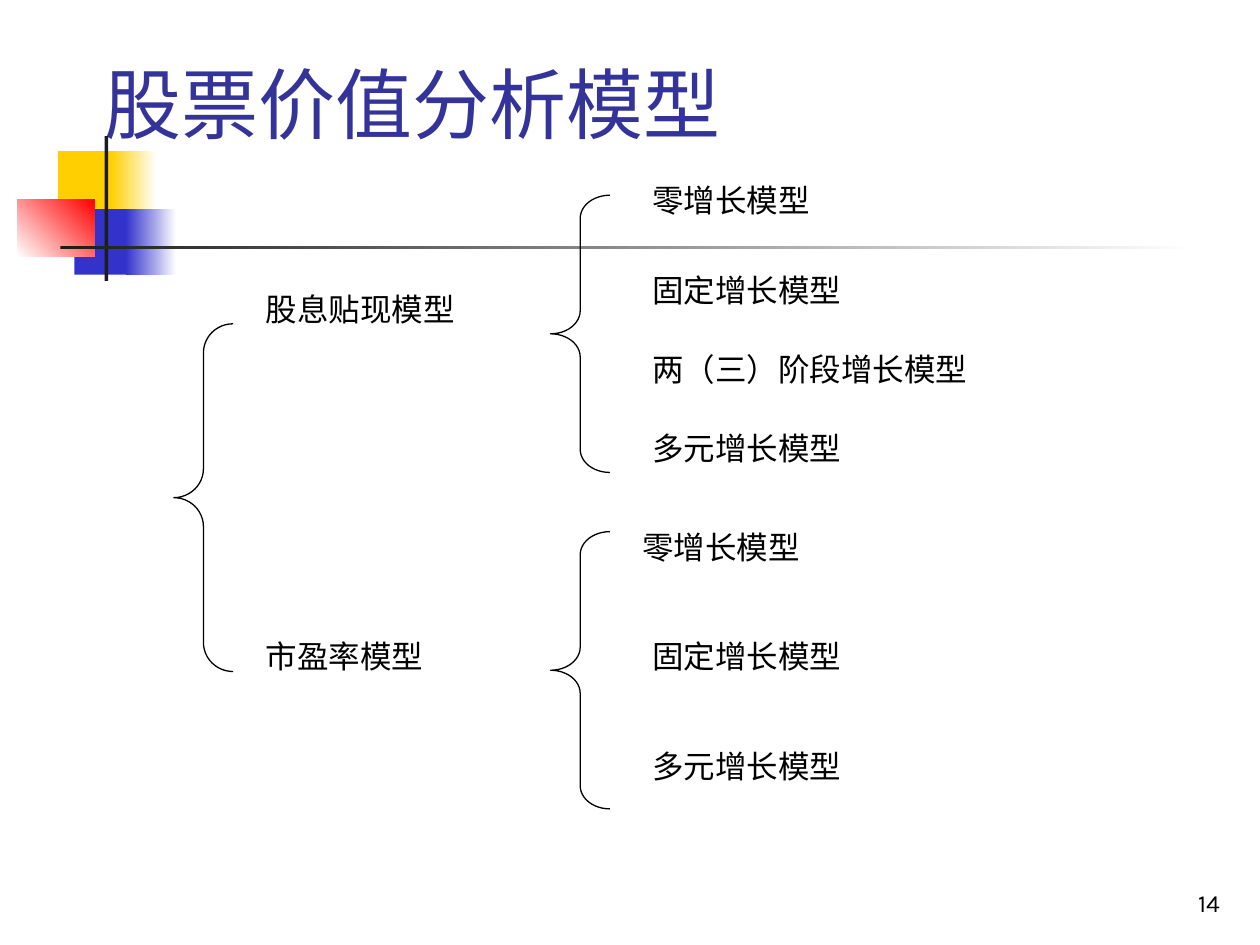
import pptx
import pptx.dml.color
import pptx.enum.shapes
import pptx.enum.text
import pptx.util

Inches = pptx.util.Inches
Pt = pptx.util.Pt
Shape = pptx.enum.shapes.MSO_SHAPE
Align = pptx.enum.text.PP_ALIGN
Anchor = pptx.enum.text.MSO_ANCHOR
AutoSize = pptx.enum.text.MSO_AUTO_SIZE

FONT = "Karla"
BLACK, WHITE, CHARCOAL = "000000", "FFFFFF", "1C1C1C"
YELLOW, BLUE, RED, TITLE_BLUE = "FFCF01", "3333CC", "FF0000", "333399"


def color(value):
    return pptx.dml.color.RGBColor.from_string(value)


class SlideBuilder:
    """Holds the style and the current slide."""

    def __init__(self, slide):
        self.slide = slide

    def set_text(self, shape, text, size, text_color=BLACK, align=Align.LEFT):
        frame = shape.text_frame
        frame.text = text
        paragraph = frame.paragraphs[0]
        paragraph.alignment = align
        font = paragraph.runs[0].font
        font.name = FONT
        font.size = Pt(size)
        font.color.rgb = color(text_color)

    def title(self, text, left, top, width, height):
        title = self.slide.shapes.title
        title.left, title.top = Inches(left), Inches(top)
        title.width, title.height = Inches(width), Inches(height)
        self.set_text(title, text, 44, TITLE_BLUE)
        frame = title.text_frame
        frame.vertical_anchor = Anchor.BOTTOM
        frame.auto_size = AutoSize.NONE
        frame.margin_left = Inches(0.5)

    def shape(self, kind, left, top, width, height):
        shape = self.slide.shapes.add_shape(
            kind, Inches(left), Inches(top), Inches(width), Inches(height))
        shape.shadow.inherit = False
        return shape

    def block(self, box, start, end=None, angle=0):
        """Add a borderless rectangle, with a gradient when end is given."""
        shape = self.shape(Shape.RECTANGLE, *box)
        shape.line.fill.background()
        if end is None:
            shape.fill.solid()
            shape.fill.fore_color.rgb = color(start)
            return
        shape.fill.gradient()
        shape.fill.gradient_angle = angle
        for stop, value, position in zip(
                shape.fill.gradient_stops, (start, end), (0, 1)):
            stop.color.rgb = color(value)
            stop.position = position

    def brace(self, left, top, height):
        width = 0.47
        shape = self.shape(Shape.LEFT_BRACE, left, top, width, height)
        shape.adjustments[0] = height / 12 / width
        shape.fill.background()
        shape.line.color.rgb = color(BLACK)
        shape.line.width = Pt(0.75)

    def text_box(self, text, left, top, width=2.44, height=0.4, size=18,
                 align=Align.LEFT, anchor=Anchor.TOP):
        box = self.slide.shapes.add_textbox(
            Inches(left), Inches(top), Inches(width), Inches(height))
        box.text_frame.word_wrap = True
        box.text_frame.vertical_anchor = anchor
        self.set_text(box, text, size, align=align)


def main():
    presentation = pptx.Presentation()
    presentation.slide_width = Inches(10)
    presentation.slide_height = Inches(7.5)
    slide = presentation.slides.add_slide(presentation.slide_layouts[5])
    builder = SlideBuilder(slide)

    builder.block((0.46, 1.2, 0.48, 0.52), YELLOW)
    builder.block((0.88, 1.2, 0.36, 0.52), YELLOW, WHITE)
    builder.block((0.59, 1.66, 0.46, 0.52), BLUE)
    builder.block((1, 1.66, 0.4, 0.52), BLUE, WHITE)
    builder.block((0.14, 1.58, 0.61, 0.46), WHITE, RED, angle=45)
    builder.block((0.83, 1.08, 0.03, 1.15), CHARCOAL)
    builder.block((0.48, 1.95, 9, 0.03), CHARCOAL, WHITE)

    builder.title("股票价值分析模型", 0.33, 0.25, 9.34, 0.98)
    builder.text_box("14", 7.7, 6.83, 2.08, 0.5, size=14,
                     align=Align.RIGHT, anchor=Anchor.BOTTOM)

    builder.brace(1.38, 2.57, 2.76)
    for top in (1.55, 4.22):
        builder.brace(4.37, top, 2.2)

    model_left, variant_left = 2.01, 5.08
    builder.text_box("股息贴现模型", model_left, 2.25)
    builder.text_box("市盈率模型", model_left, 5.01)

    dividend_variants = (("零增长模型", 1.39), ("固定增长模型", 2.1),
                         ("两（三）阶段增长模型", 2.73), ("多元增长模型", 3.36))
    for text, top in dividend_variants:
        builder.text_box(text, variant_left, top, width=3.86)

    builder.text_box("零增长模型", 5, 4.14)
    for text, top in (("固定增长模型", 5.01), ("多元增长模型", 5.88)):
        builder.text_box(text, variant_left, top)

    presentation.save("out.pptx")


if __name__ == "__main__":
    main()
